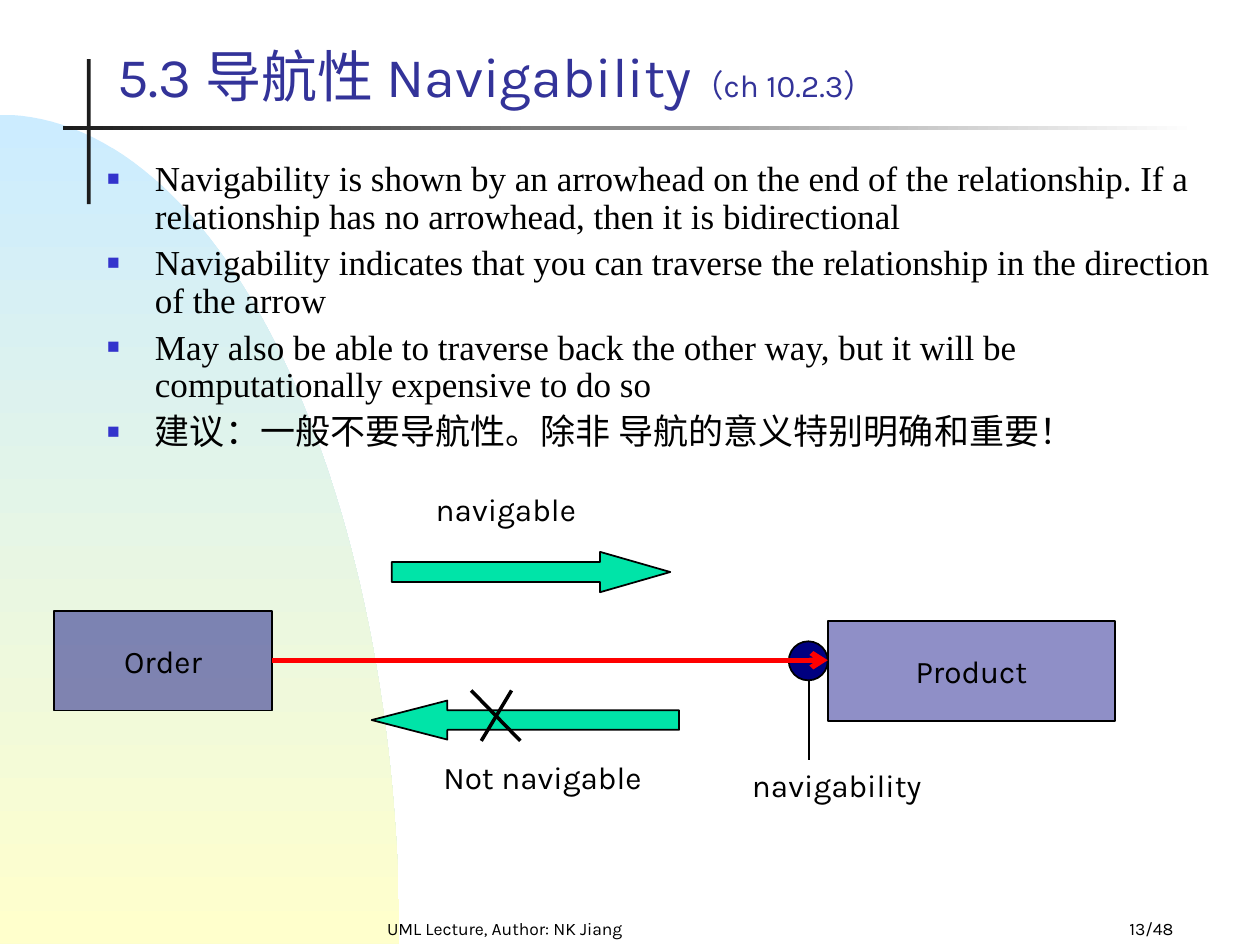
"""Build the UML navigability slide."""
import math
from lxml import etree
from pptx import Presentation
from pptx.dml.color import RGBColor
from pptx.enum import shapes as sh, text as tx
from pptx.oxml.ns import qn
from pptx.util import Inches, Pt

HUE = {"ink": "000000", "title": "333399", "mark": "3333CC", "navy": "000080",
       "green": "00E4A8", "red": "FF0000", "dark": "1C1C1C", "white": "FFFFFF",
       "sky": "CCECFF", "cream": "FFFFCC"}
SANS, SERIF = "Karla", "Times New Roman"
TITLE = [("5.3 导航性 Navigability", 32), ("（ch 10.2.3）", 18)]
POINTS = [
    "Navigability is shown by an arrowhead on the end of the relationship. "
    "If a relationship has no arrowhead, then it is bidirectional",
    "Navigability indicates that you can traverse the relationship in the direction of the arrow",
    "May also be able to traverse back the other way, but it will be "
    "computationally expensive to do so",
    "建议：一般不要导航性。除非 导航的意义特别明确和重要！",
]
FOOT = [("UML Lecture, Author: NK Jiang", (2.42, 7.17, 3.17, 0.33), "CENTER"),
        ("13/48", (7.33, 7.17, 2.08, 0.33), "RIGHT")]
NODES = [("Order", (0.43, 4.85, 1.73, 0.79), 47), ("Product", (6.57, 4.93, 2.28, 0.79), 44)]
LABELS = [("navigable", (3.36, 3.84, 1.34, 0.4), 0),
          ("Not navigable", (3.42, 5.97, 1.83, 0.4), 0),
          ("navigability", (5.87, 6.03, 1.73, 0.4), 11.2)]
ARROWS = [("RIGHT_ARROW", (3.11, 4.38, 2.21, 0.32), 1.74),
          ("LEFT_ARROW", (2.95, 5.56, 2.44, 0.31), 1.94)]
LINES = [((6.42, 5.4, 6.42, 6.03), 1), ((4.06, 5.48, 3.82, 5.88), 2),
         ((3.74, 5.48, 4.13, 5.88), 2)]

deck = Presentation()
deck.slide_width, deck.slide_height = Inches(10), Inches(7.5)
slide = deck.slides.add_slide(deck.slide_layouts[1])
items = slide.shapes


def rgb(name):
    return RGBColor.from_string(HUE[name])


def sub(node, tag, **attrs):
    return etree.SubElement(node, qn(tag), **attrs)


def paint(shape, fill, edge=None):
    shape.shadow.inherit = False
    shape.fill.solid()
    shape.fill.fore_color.rgb = rgb(fill)
    if edge:
        shape.line.color.rgb, shape.line.width = rgb(edge), Pt(1)
    else:
        shape.line.fill.background()


def blend(shape, names, angle):
    shape.fill.gradient()
    shape.fill.gradient_angle = angle
    for stop, name, place in zip(shape.fill.gradient_stops, names, (0, 1)):
        stop.color.rgb, stop.position = rgb(name), place


def block(kind, box, fill, edge=None):
    shape = items.add_shape(getattr(sh.MSO_SHAPE, kind), *map(Inches, box))
    paint(shape, fill, edge)
    return shape


def write(para, words, size, font=SANS, hue="ink"):
    run = para.add_run()
    run.text = words
    run.font.size, run.font.name = Pt(size), font
    run.font.color.rgb = rgb(hue)


def label(words, box, size, align="LEFT", wrap=False, anchor="TOP", before=0):
    frame = items.add_textbox(*map(Inches, box)).text_frame
    frame.word_wrap = wrap
    frame.vertical_anchor = getattr(tx.MSO_ANCHOR, anchor)
    para = frame.paragraphs[0]
    para.alignment = getattr(tx.PP_ALIGN, align)
    para.space_before = Pt(before)
    write(para, words, size)


def link(ends, width, hue="ink", head=False):
    line = items.add_connector(sh.MSO_CONNECTOR.STRAIGHT, *map(Inches, ends))
    line.line.color.rgb, line.line.width = rgb(hue), Pt(width)
    if head:
        sub(line.line._get_or_add_ln(), "a:tailEnd", type="arrow")
    sub(line._element.spPr, "a:effectLst")


def holder(shape, box, anchor):
    shape.left, shape.top, shape.width, shape.height = map(Inches, box)
    frame = shape.text_frame
    frame.auto_size, frame.word_wrap = tx.MSO_AUTO_SIZE.NONE, True
    frame.vertical_anchor = anchor
    items._spTree.append(shape._element)
    return frame


def backdrop():
    arc = [(3.17 * math.sin(t), 7.49 - 6.58 * math.cos(t))
           for t in (math.pi * i / 120 for i in range(61))]
    pen = items.build_freeform(0, Inches(7.49), scale=1.0)
    pen.add_line_segments([(Inches(x), Inches(y)) for x, y in arc], close=True)
    curve = pen.convert_to_shape()
    paint(curve, "sky")
    blend(curve, ("sky", "cream"), 270)
    block("RECTANGLE", (0.69, 0.47, 0.03, 1.15), "dark")
    blend(block("RECTANGLE", (0.5, 1, 9, 0.03), "dark"), ("dark", "white"), 0)


def wording():
    frame = holder(items.title, (0.83, 0, 7.65, 0.91), tx.MSO_ANCHOR.BOTTOM)
    para = frame.paragraphs[0]
    para.alignment = tx.PP_ALIGN.LEFT
    for words, size in TITLE:
        write(para, words, size, hue="title")
    frame = holder(slide.placeholders[1], (0.75, 1.23, 9.02, 3.15), tx.MSO_ANCHOR.TOP)
    for i, words in enumerate(POINTS):
        para = frame.add_paragraph() if i else frame.paragraphs[0]
        para.line_spacing, para.space_before = 0.9, Pt(5)
        props = para._p.get_or_add_pPr()
        props.set("marL", str(Inches(0.38)))
        props.set("indent", str(-Inches(0.38)))
        sub(sub(props, "a:buClr"), "a:srgbClr", val=HUE["mark"])
        sub(props, "a:buSzPct", val="60000")
        sub(props, "a:buChar", char="■")
        write(para, words, 20, SERIF)


def diagram():
    for words, box, alpha in NODES:
        node = block("RECTANGLE", box, "navy", "ink")
        tint = node._element.spPr.find(qn("a:solidFill"))[0]
        sub(tint, "a:alpha", val=str(alpha * 1000))
        frame = node.text_frame
        frame.word_wrap, frame.vertical_anchor = False, tx.MSO_ANCHOR.MIDDLE
        frame.paragraphs[0].alignment = tx.PP_ALIGN.CENTER
        write(frame.paragraphs[0], words, 18)
    link((2.16, 5.24, 6.57, 5.24), 3, "red", head=True)
    for words, box, before in LABELS:
        label(words, box, 18, wrap=before > 0, before=before)
    for kind, box, tip in ARROWS:
        block(kind, box, "green", "ink").adjustments[1] = tip
    for ends, width in LINES:
        link(ends, width)


backdrop()
for words, box, align in FOOT:
    label(words, box, 10, align, True, "BOTTOM")
block("OVAL", (6.26, 5.09, 0.31, 0.31), "navy", "ink")
wording()
diagram()
deck.save("out.pptx")
